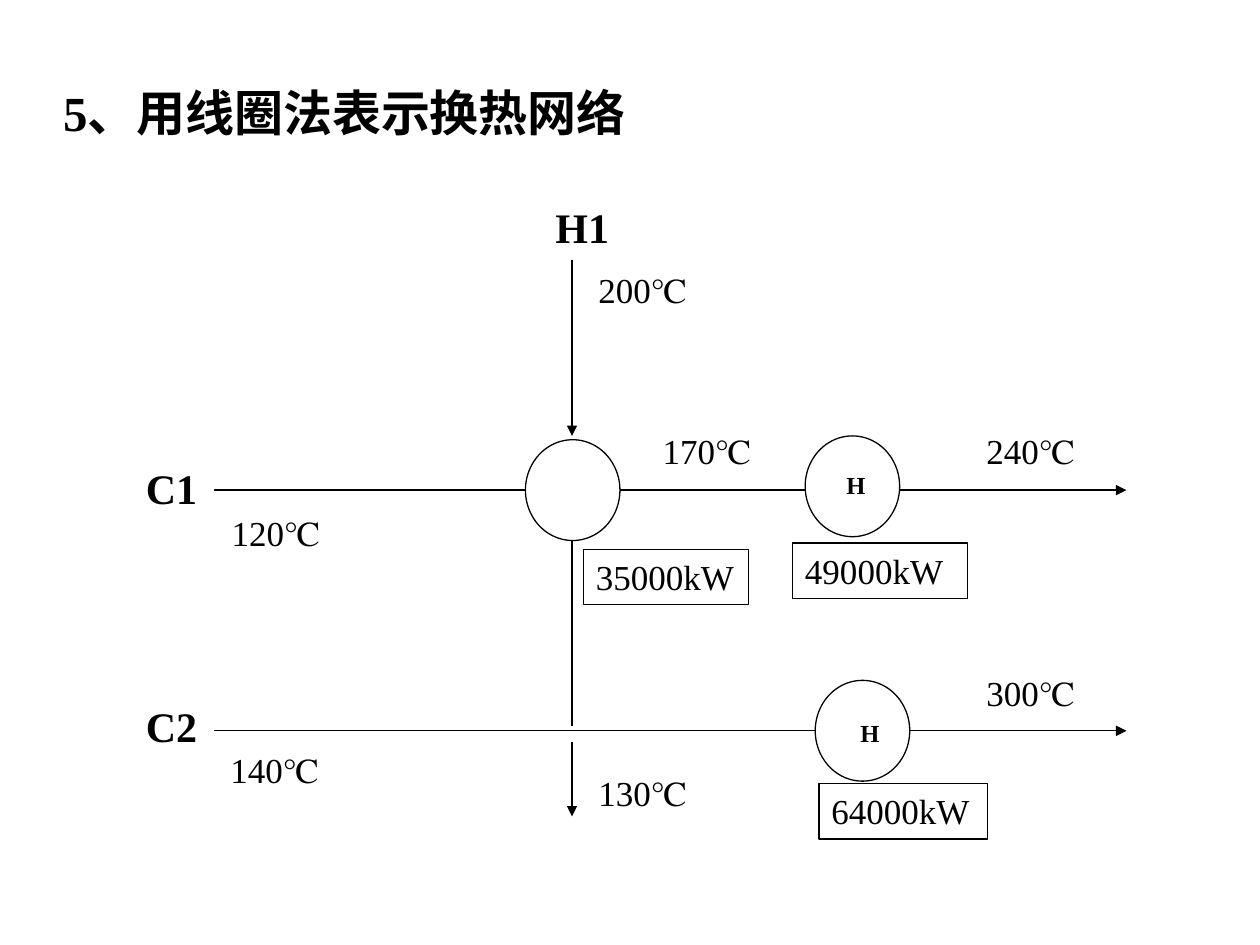
from typing import NamedTuple

from lxml import etree
from pptx import Presentation
from pptx.dml.color import RGBColor
from pptx.enum.shapes import MSO_CONNECTOR, MSO_SHAPE
from pptx.enum.text import MSO_ANCHOR, MSO_AUTO_SIZE, PP_ALIGN
from pptx.oxml.ns import qn
from pptx.util import Inches, Pt

STRAIGHT = MSO_CONNECTOR.STRAIGHT
RECTANGLE, OVAL = MSO_SHAPE.RECTANGLE, MSO_SHAPE.OVAL
TOP, MIDDLE = MSO_ANCHOR.TOP, MSO_ANCHOR.MIDDLE
LEFT, JUSTIFY = PP_ALIGN.LEFT, PP_ALIGN.JUSTIFY
FIT_SHAPE = MSO_AUTO_SIZE.SHAPE_TO_FIT_TEXT
BLACK = RGBColor(0, 0, 0)
WHITE = RGBColor(255, 255, 255)
FONT = "Times New Roman"
LINE_WIDTH = Pt(0.75)

COLUMNS, ROWS = 100, 75
HOT_COLUMN = 45.4
COLD_ROWS = (38.9, 58)
COLD_START, COLD_END = 16.3, 89.4


class Style(NamedTuple):
    size: int
    bold: bool = False
    filled: bool = True
    outlined: bool = False


class Label(NamedTuple):
    text: str
    column: float
    row: float
    columns: float
    rows: float
    style: Style


class Stream(NamedTuple):
    start: tuple[float, float]
    end: tuple[float, float]
    arrow: bool = True


class Exchanger(NamedTuple):
    column: float
    row: float
    columns: float = 7.5
    rows: float = 8


TEMPERATURE = Style(20)
NAME = Style(24, bold=True)
HEATER = Style(14, bold=True, filled=False)
DUTY = Style(20, outlined=True)

TEMPERATURES = [
    Label(text, column, row, 9.5, 5.9, TEMPERATURE)
    for text, column, row in (
        ("170℃", 51.6, 33.6), ("300℃", 77.3, 52.8), ("240℃", 77.3, 33.6),
        ("200℃", 46.5, 20.8), ("120℃", 17.4, 40.1), ("140℃", 17.3, 58.9),
        ("130℃", 46.5, 60.7),
    )
]
STREAMS = [Stream((COLD_START, row), (COLD_END, row)) for row in COLD_ROWS] + [
    Stream((HOT_COLUMN, 20.6), (HOT_COLUMN, 34.6)),
    Stream((HOT_COLUMN, 42.9), (HOT_COLUMN, 57.6), arrow=False),
    Stream((HOT_COLUMN, 58.9), (HOT_COLUMN, 64.8)),
]
EXCHANGERS = [Exchanger(41.7, 34.9), Exchanger(63.9, 34.6), Exchanger(64.7, 54)]
NAMES = [
    Label(text, column, row, 6.4, 4.4, NAME)
    for text, column, row in (
        ("H1", 43.1, 15.5), ("C1", 10.6, 36.2), ("C2", 10.6, 55.1),
    )
]
HEATERS = [
    Label("H", 67.3, 56.5, 5.6, 4.4, HEATER),
    Label("H", 66.2, 36.8, 5.3, 4.6, HEATER),
]
DUTIES = [
    Label("49000kW", 62.9, 43.1, 13.9, 4.4, DUTY),
    Label("64000kW", 65, 62.2, 13.4, 4.4, DUTY),
    Label("35000kW", 46.3, 43.6, 13.1, 4.4, DUTY),
]

presentation = Presentation()
presentation.slide_width = Inches(10)
presentation.slide_height = Inches(7.5)
slide = presentation.slides.add_slide(presentation.slide_layouts[5])


def across(columns: float) -> int:
    return round(presentation.slide_width * columns / COLUMNS)


def down(rows: float) -> int:
    return round(presentation.slide_height * rows / ROWS)


def write(shape, text: str, size: int, bold: bool, alignment, anchor) -> None:
    frame = shape.text_frame
    frame.vertical_anchor = anchor
    frame.word_wrap = True
    paragraph = frame.paragraphs[0]
    paragraph.text = text
    paragraph.alignment = alignment
    paragraph.font.name = FONT
    paragraph.font.size = Pt(size)
    paragraph.font.bold = bold
    paragraph.font.color.rgb = BLACK


def paint(shape, outlined: bool) -> None:
    shape.shadow.inherit = False
    shape.fill.solid()
    shape.fill.fore_color.rgb = WHITE
    if outlined:
        shape.line.color.rgb = BLACK
        shape.line.width = LINE_WIDTH
    else:
        shape.line.fill.background()


def add_label(label: Label) -> None:
    box = (across(label.column), down(label.row),
           across(label.columns), down(label.rows))
    if label.style.filled:
        shape = slide.shapes.add_shape(RECTANGLE, *box)
        paint(shape, label.style.outlined)
    else:
        shape = slide.shapes.add_textbox(*box)
    write(shape, label.text, label.style.size, label.style.bold, JUSTIFY, TOP)


def add_stream(stream: Stream) -> None:
    connector = slide.shapes.add_connector(
        STRAIGHT,
        across(stream.start[0]), down(stream.start[1]),
        across(stream.end[0]), down(stream.end[1]),
    )
    connector.line.color.rgb = BLACK
    connector.line.width = LINE_WIDTH
    properties = connector._element.spPr
    if stream.arrow:
        etree.SubElement(properties.find(qn("a:ln")), qn("a:tailEnd"), type="triangle")
    etree.SubElement(properties, qn("a:effectLst"))


def add_exchanger(exchanger: Exchanger) -> None:
    shape = slide.shapes.add_shape(
        OVAL, across(exchanger.column), down(exchanger.row),
        across(exchanger.columns), down(exchanger.rows),
    )
    paint(shape, outlined=True)


def add_title(text: str) -> None:
    title = slide.shapes.title
    title.left, title.top = across(4), down(6)
    title.width, title.height = across(47.6), down(5.7)
    write(title, text, 28, True, LEFT, MIDDLE)
    title.text_frame.word_wrap = False
    title.text_frame.auto_size = FIT_SHAPE


add_title("5、用线圈法表示换热网络")
for temperature in TEMPERATURES:
    add_label(temperature)
for stream in STREAMS:
    add_stream(stream)
for exchanger in EXCHANGERS:
    add_exchanger(exchanger)
for label in NAMES + HEATERS + DUTIES:
    add_label(label)

presentation.save("out.pptx")
